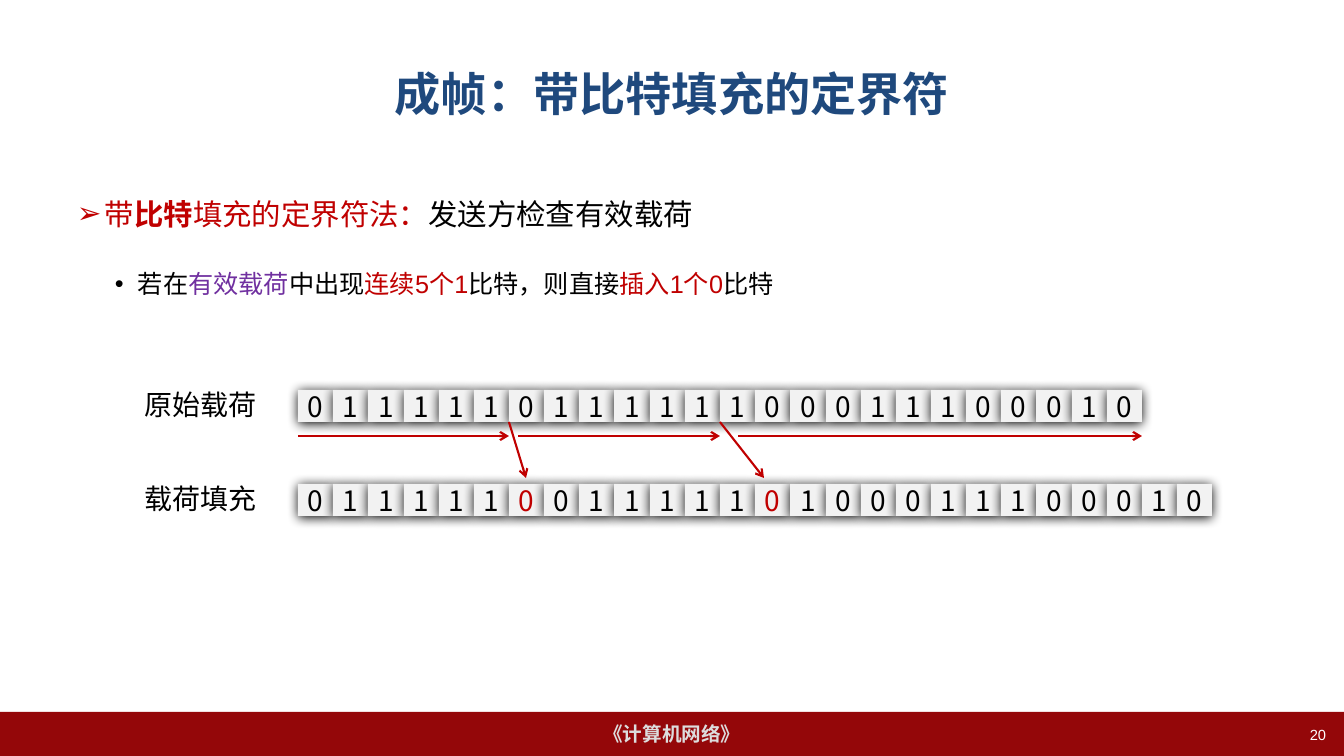
from lxml import etree
from pptx import Presentation
from pptx import util as u
from pptx.dml.color import RGBColor
from pptx.enum import shapes, text
from pptx.oxml import ns

PX = 12192000 / 1344
HEX = {"red": "C00000", "black": "000000", "violet": "7030A0", "navy": "1F497D",
       "cell": "F2F2F2", "bar": "940709", "pale": "DDDDDD", "white": "FFFFFF"}
CJK = "Noto Sans CJK SC"
ALIGN = text.PP_ALIGN
LEFT, PITCH, HIGH = 298, 844 / 24, 32
BITS = "011111011111100011100010"
MARK = "x"  # stands for an inserted zero
STUFFED = BITS.replace("11111", "11111" + MARK)


def px(*nums):
    return [u.Emu(round(n * PX)) for n in nums]


def rgb(name):
    return RGBColor.from_string(HEX[name])


def sub(node, tag, **attrs):
    return etree.SubElement(node, ns.qn(tag), attrs)


def put(obj, **vals):
    for key, val in vals.items():
        setattr(obj, key, val)


def write(par, words, color, size, face="Arial", bold=False):
    run = par.add_run()
    run.text = words
    put(run.font, name=face, size=u.Pt(size), bold=bold)
    run.font.color.rgb = rgb(color)
    sub(run._r.get_or_add_rPr(), "a:ea", typeface=CJK)


def frame(shape, align, anchor="MIDDLE", wrap=True):
    """Set up a shape's text and return its first paragraph."""
    body = shape.text_frame
    put(body, word_wrap=wrap, auto_size=text.MSO_AUTO_SIZE.NONE,
        vertical_anchor=text.MSO_ANCHOR[anchor])
    body.paragraphs[0].alignment = align
    return body.paragraphs[0]


def rect(slide, box, color):
    shape = slide.shapes.add_shape(shapes.MSO_SHAPE.RECTANGLE, *px(*box))
    shape.shadow.inherit = False
    shape.fill.solid()
    shape.fill.fore_color.rgb = rgb(color)
    shape.line.fill.background()
    return shape


def label(slide, box, words, color, size, align, face):
    shape = slide.shapes.add_textbox(*px(*box))
    write(frame(shape, align, "TOP"), words, color, size, face)


def edge(i):
    return round(LEFT + i * PITCH)


def row(slide, top, bits):
    for i, bit in enumerate(bits):
        new = bit == MARK
        cell = rect(slide, (edge(i), top, edge(i + 1) - edge(i), HIGH), "cell")
        glow = sub(cell._element.spPr.find(ns.qn("a:effectLst")), "a:outerShdw",
                   blurRad="107950", dist="12700", dir="5400000",
                   algn="t", rotWithShape="0")
        sub(glow, "a:srgbClr", val=HEX["black"])
        par = frame(cell, ALIGN.CENTER, wrap=False)
        put(cell.text_frame, margin_left=px(2)[0], margin_right=px(2)[0])
        write(par, "0" if new else bit, "red" if new else "black", 20, CJK)


def arrow(slide, *ends):
    link = slide.shapes.add_connector(shapes.MSO_CONNECTOR.STRAIGHT, *px(*ends))
    link.line.width = u.Pt(1.5)
    link.line.color.rgb = rgb("red")
    sub(link.line._get_or_add_ln(), "a:tailEnd", type="arrow")
    sub(link._element.spPr, "a:effectLst")


def bullet(par, sign, left, hang, size, runs):
    props = par._p.get_or_add_pPr()
    for key, val in (("marL", left), ("indent", -hang)):
        props.set(key, str(px(val)[0]))
    sub(props, "a:buFont", typeface="Arial")
    sub(props, "a:buChar", char=sign)
    par.line_spacing = u.Pt(36)
    for words, color, bold in runs:
        write(par, words, color, size, bold=bold)


def points(slide):
    box = slide.shapes.add_textbox(*px(67, 176, 1210, 499))
    first = frame(box, ALIGN.LEFT, "TOP")
    bullet(first, "➢", 28, 28, 21, [
        ("带", "red", False), ("比特", "red", True),
        ("填充的定界符法：", "red", False), ("发送方检查有效载荷", "black", False)])
    rule = box.text_frame.add_paragraph()
    put(rule, level=1, space_before=u.Pt(12))
    bullet(rule, "•", 61, 23, 18, [
        ("若在", "black", False), ("有效载荷", "violet", False),
        ("中出现", "black", False), ("连续5个1", "red", False),
        ("比特，则直接", "black", False), ("插入1个0", "red", False),
        ("比特", "black", False)])


def main():
    deck = Presentation()
    deck.slide_width, deck.slide_height = px(1344, 756)
    slide = deck.slides.add_slide(deck.slide_layouts[5])

    bar = rect(slide, (0, 712, 1344, 44), "bar")
    write(frame(bar, ALIGN.CENTER, wrap=False), "《计算机网络》", "pale", 14, bold=True)

    title = slide.shapes.title
    for key, val in zip(("left", "top", "width", "height"), px(67, 30, 1210, 126)):
        setattr(title, key, val)
    write(frame(title, ALIGN.CENTER), "成帧：带比特填充的定界符", "navy", 33, bold=True)
    points(slide)

    for name, top, bits in (("原始载荷", 390, BITS), ("载荷填充", 484, STUFFED)):
        label(slide, (121, top - 7, 160, 44), name, "black", 20, ALIGN.CENTER, CJK)
        row(slide, top, bits)

    for start, end in ((LEFT, edge(6)), (518, edge(12)), (738, edge(24))):
        arrow(slide, start, 436, end, 436)
    for start, end in ((edge(6), 526), (edge(12), 764)):
        arrow(slide, start, 422, end, 478)

    label(slide, (1023, 721, 313, 35), "20", "white", 10.5, ALIGN.RIGHT, "Arial")
    deck.save("out.pptx")


if __name__ == "__main__":
    main()
